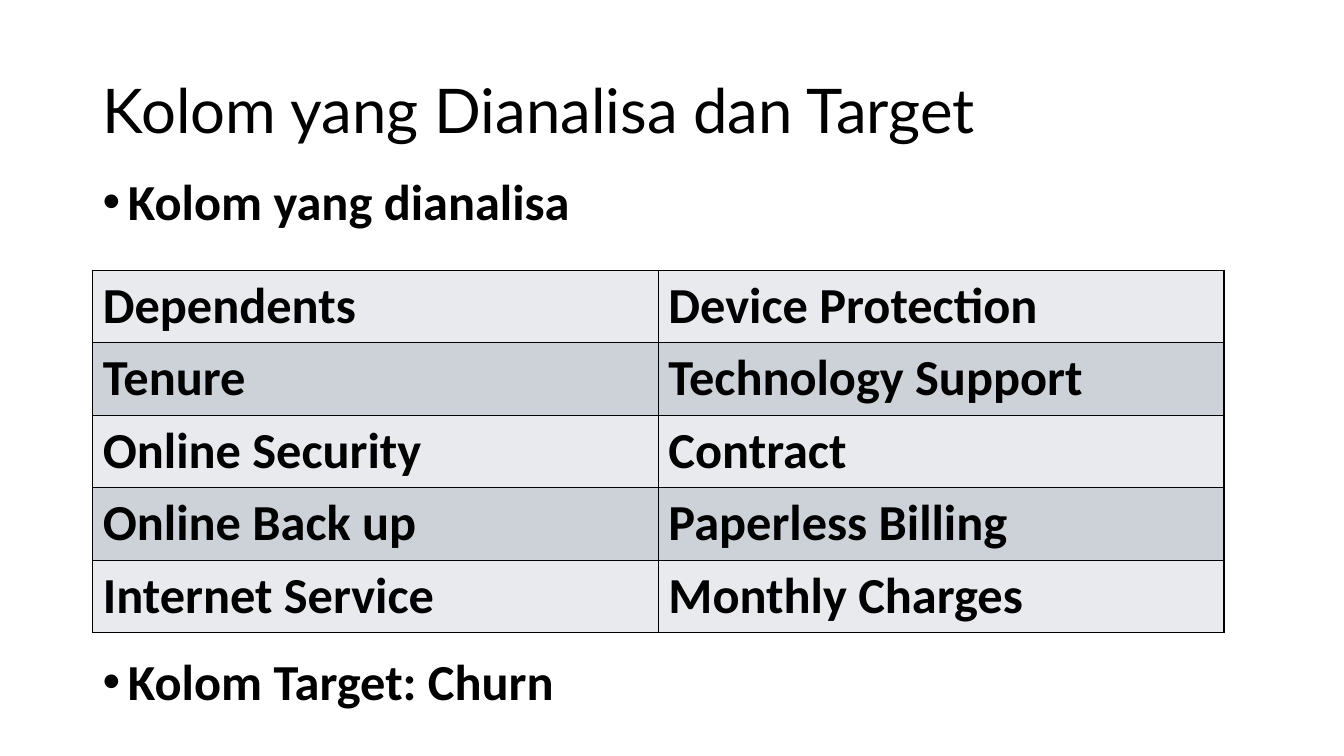
from lxml.etree import SubElement
from pptx import Presentation
from pptx.dml.color import RGBColor
from pptx.enum.text import MSO_ANCHOR
from pptx.oxml.ns import qn
from pptx.util import Inches, Pt

TITLE = "Kolom yang Dianalisa dan Target"
BULLETS = [("Kolom yang dianalisa", 1.71), ("Kolom Target: Churn", 6.47)]  # text, top
COLUMNS = [
    ("Dependents", "Device Protection"),
    ("Tenure", "Technology Support"),
    ("Online Security", "Contract"),
    ("Online Back up", "Paperless Billing"),
    ("Internet Service", "Monthly Charges"),
]
THEME = {
    "title_font": "Lato", "body_font": "Calibri",
    "title_size": 44, "body_size": 36,
    "text": "000000", "border": "000000", "bands": ("E8EAED", "CCD2D8"),
}
LEFT, TEXT_W = 0.92, 11.5
TABLE_TOP, COL_W, ROW_H = 2.68, 5.61, 0.72


def write(tf, text, font=THEME["body_font"], size=THEME["body_size"],
          bold=True, bullet=False, spacing=None):
    p = tf.paragraphs[0]
    if spacing:
        p.line_spacing = spacing
    if bullet:
        pPr = p._p.get_or_add_pPr()
        pPr.set("marL", str(Inches(0.25)))
        pPr.set("indent", str(Inches(-0.25)))
        SubElement(pPr, qn("a:buFont"), typeface="Arial")
        SubElement(pPr, qn("a:buChar"), char="•")
    r = p.add_run()
    r.text = text
    r.font.name, r.font.size, r.font.bold = font, Pt(size), bold
    r.font.color.rgb = RGBColor.from_string(THEME["text"])


def add_text(s, text, top, height, anchor=MSO_ANCHOR.TOP, **fmt):
    tf = s.shapes.add_textbox(Inches(LEFT), Inches(top), Inches(TEXT_W), Inches(height)).text_frame
    tf.word_wrap = True
    tf.vertical_anchor = anchor
    write(tf, text, spacing=0.9, **fmt)


def add_borders(cell):
    tcPr = cell._tc.get_or_add_tcPr()
    for side in ("lnL", "lnR", "lnT", "lnB"):
        ln = SubElement(tcPr, qn(f"a:{side}"), w=str(Pt(1)))
        fill = SubElement(ln, qn("a:solidFill"))
        SubElement(fill, qn("a:srgbClr"), val=THEME["border"])


def add_columns_table(s):
    rows, cols = len(COLUMNS), len(COLUMNS[0])
    table = s.shapes.add_table(rows, cols, Inches(LEFT), Inches(TABLE_TOP),
                               Inches(COL_W * cols), Inches(ROW_H * rows)).table
    table.first_row = table.horz_banding = False
    for i, names in enumerate(COLUMNS):
        for j, name in enumerate(names):
            cell = table.cell(i, j)
            add_borders(cell)
            cell.fill.solid()
            cell.fill.fore_color.rgb = RGBColor.from_string(THEME["bands"][i % 2])
            write(cell.text_frame, name)


prs = Presentation()
prs.slide_width, prs.slide_height = Inches(13.33), Inches(7.5)
s = prs.slides.add_slide(prs.slide_layouts[6])
add_text(s, TITLE, 0.4, 1.45, anchor=MSO_ANCHOR.MIDDLE,
         font=THEME["title_font"], size=THEME["title_size"], bold=False)
for text, top in BULLETS:
    add_text(s, text, top, 0.77, bullet=True)
add_columns_table(s)
prs.save("out.pptx")
